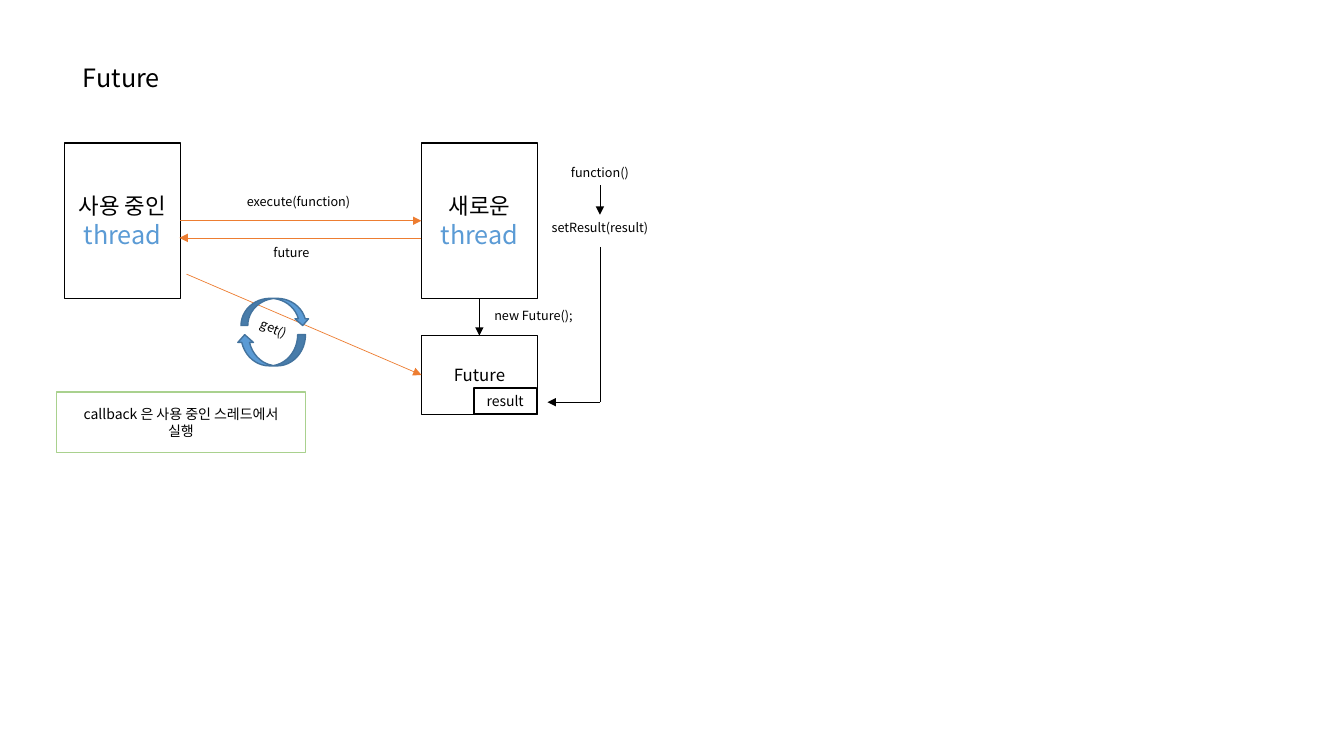
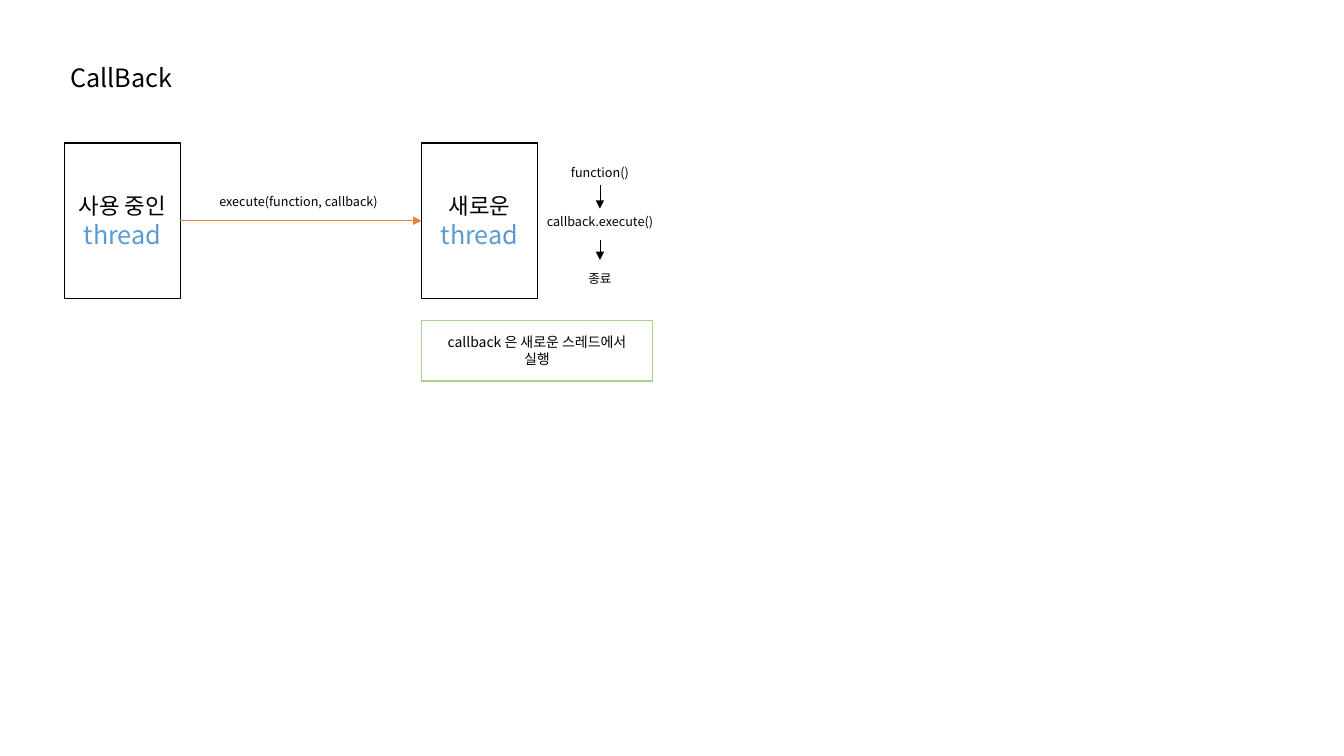
"""Build two slides that compare a Future with a CallBack between threads."""
from lxml import etree
from pptx import Presentation
from pptx.dml.color import RGBColor
from pptx.enum.shapes import MSO_CONNECTOR, MSO_SHAPE
from pptx.enum.text import MSO_ANCHOR, PP_ALIGN
from pptx.oxml.ns import qn
from pptx.util import Inches, Pt

FONT = "Noto Sans CJK KR"
BLACK, BLUE, NAVY, ORANGE, GREEN = "000000", "5B9BD5", "43739E", "ED7D31", "A9D18E"
TOP, BOTTOM, LEFT, RIGHT = 0, 2, 1, 3

TITLE_AT = (0.09, 0.53, 2.23, 0.48)
EXECUTE_AT = (1.85, 1.86, 2.22, 0.28)
STEP_X, STEP_W, STEP_H = 5.32, 1.26, 0.25
STEP_MID = STEP_X + STEP_W / 2
THREADS = {
    "current": ("사용 중인", (0.64, 1.42, 1.15, 1.54)),
    "new": ("새로운", (4.18, 1.42, 1.15, 1.54)),
}

SLIDES = [
    {
        "title": "Future",
        "execute": "execute(function)",
        "boxes": {
            "future": ("Future", 12, (4.18, 3.33, 1.15, 0.78)),
            "result": ("result", 10, (4.7, 3.85, 0.62, 0.26)),
        },
        "labels": [
            ("new Future();", (4.18, 2.99, 2.22, 0.28), 0),
            ("future", (1.78, 2.36, 2.22, 0.28), 0),
            ("get()", (1.61, 3.12, 2.22, 0.28), 23.3),
        ],
        "steps": [("function()", 1.59), ("setResult(result)", 2.13)],
        "arrows": [
            ((4.75, 2.95), (4.75, 3.33), BLACK, True, ("new", BOTTOM), ("future", TOP)),
            ((4.18, 2.36), (1.78, 2.36), ORANGE, True, None, None),
            ((1.85, 2.72), (4.18, 3.72), ORANGE, True, None, ("future", LEFT)),
            ((STEP_MID, 1.84), (STEP_MID, 2.13), BLACK, True, None, None),
            ((STEP_MID, 2.45), (STEP_MID, 3.99), BLACK, False, None, None),
            ((STEP_MID, 3.99), (5.43, 3.99), BLACK, True, None, None),
        ],
        "cycle": [
            (MSO_SHAPE.CURVED_UP_ARROW, (2.35, 3.32, 0.68, 0.31), True),
            (MSO_SHAPE.CURVED_DOWN_ARROW, (2.39, 2.96, 0.68, 0.27), False),
        ],
        "note": ("callback 은 사용 중인 스레드에서 실행", (0.56, 3.89, 2.47, 0.6)),
    },
    {
        "title": "CallBack",
        "execute": "execute(function, callback)",
        "boxes": {},
        "labels": [],
        "steps": [("function()", 1.59), ("callback.execute()", 2.07), ("종료", 2.64)],
        "arrows": [
            ((STEP_MID, 1.84), (STEP_MID, 2.07), BLACK, True, None, None),
            ((STEP_MID, 2.38), (STEP_MID, 2.58), BLACK, True, None, None),
        ],
        "cycle": [],
        "note": ("callback 은 새로운 스레드에서 실행", (4.18, 3.18, 2.29, 0.6)),
    },
]


def rgb(color):
    return RGBColor.from_string(color)


def inches(at):
    return [Inches(v) for v in at]


def write(sp, text, size=9, color=BLACK, margin=0.05, more=()):
    tf = sp.text_frame
    tf.word_wrap = True
    tf.vertical_anchor = MSO_ANCHOR.MIDDLE
    tf.margin_left = tf.margin_right = Inches(margin)
    tf.margin_top = tf.margin_bottom = 0
    for i, (words, pt, ink) in enumerate([(text, size, color), *more]):
        p = tf.add_paragraph() if i else tf.paragraphs[0]
        p.alignment = PP_ALIGN.CENTER
        r = p.add_run()
        r.text = words
        r.font.size = Pt(pt)
        r.font.name = FONT
        r.font.color.rgb = rgb(ink)
        etree.SubElement(r.font._element, qn("a:ea")).set("typeface", FONT)


def add_label(s, text, at, size=9, angle=0):
    sp = s.shapes.add_textbox(*inches(at))
    sp.rotation = angle
    write(sp, text, size=size)


def add_outline(s, shape, at, line, fill=None):
    sp = s.shapes.add_shape(shape, *inches(at))
    sp.shadow.inherit = False
    sp.line.color.rgb = rgb(line)
    sp.line.width = Pt(1)
    if fill:
        sp.fill.solid()
        sp.fill.fore_color.rgb = rgb(fill)
    else:
        sp.fill.background()
    return sp


def add_box(s, at, text, line=BLACK, **fmt):
    sp = add_outline(s, MSO_SHAPE.RECTANGLE, at, line)
    write(sp, text, **fmt)
    return sp


def add_arrow(s, boxes, start, end, color, head=True, begin=None, finish=None):
    cn = s.shapes.add_connector(MSO_CONNECTOR.STRAIGHT, *inches(start + end))
    cn.line.color.rgb = rgb(color)
    cn.line.width = Pt(0.5)
    if head:
        etree.SubElement(cn.line._get_or_add_ln(), qn("a:tailEnd")).set("type", "triangle")
    etree.SubElement(cn._element.spPr, qn("a:effectLst"))
    if begin:
        cn.begin_connect(boxes[begin[0]], begin[1])
    if finish:
        cn.end_connect(boxes[finish[0]], finish[1])


def add_slide(prs, data):
    s = prs.slides.add_slide(prs.slide_layouts[6])
    add_label(s, data["title"], TITLE_AT, size=18)
    boxes = {
        key: add_box(s, at, text, size=16, more=[("thread", 18, BLUE)])
        for key, (text, at) in THREADS.items()
    }
    for key, (text, size, at) in data["boxes"].items():
        boxes[key] = add_box(s, at, text, size=size)
    add_arrow(s, boxes, (1.78, 2.19), (4.18, 2.19), ORANGE,
              begin=("current", RIGHT), finish=("new", LEFT))
    for arrow in data["arrows"]:
        add_arrow(s, boxes, *arrow)
    add_label(s, data["execute"], EXECUTE_AT)
    for text, at, angle in data["labels"]:
        add_label(s, text, at, angle=angle)
    for text, top in data["steps"]:
        add_label(s, text, (STEP_X, top, STEP_W, STEP_H))
    for shape, at, flipped in data["cycle"]:
        sp = add_outline(s, shape, at, NAVY, fill=BLUE)
        if flipped:
            sp._element.spPr.xfrm.set("flipH", "1")
    text, at = data["note"]
    add_box(s, at, text, line=GREEN, size=10, margin=0.15)


def main():
    prs = Presentation()
    prs.slide_width, prs.slide_height = Inches(13.33), Inches(7.5)
    for data in SLIDES:
        add_slide(prs, data)
    prs.save("out.pptx")


if __name__ == "__main__":
    main()
